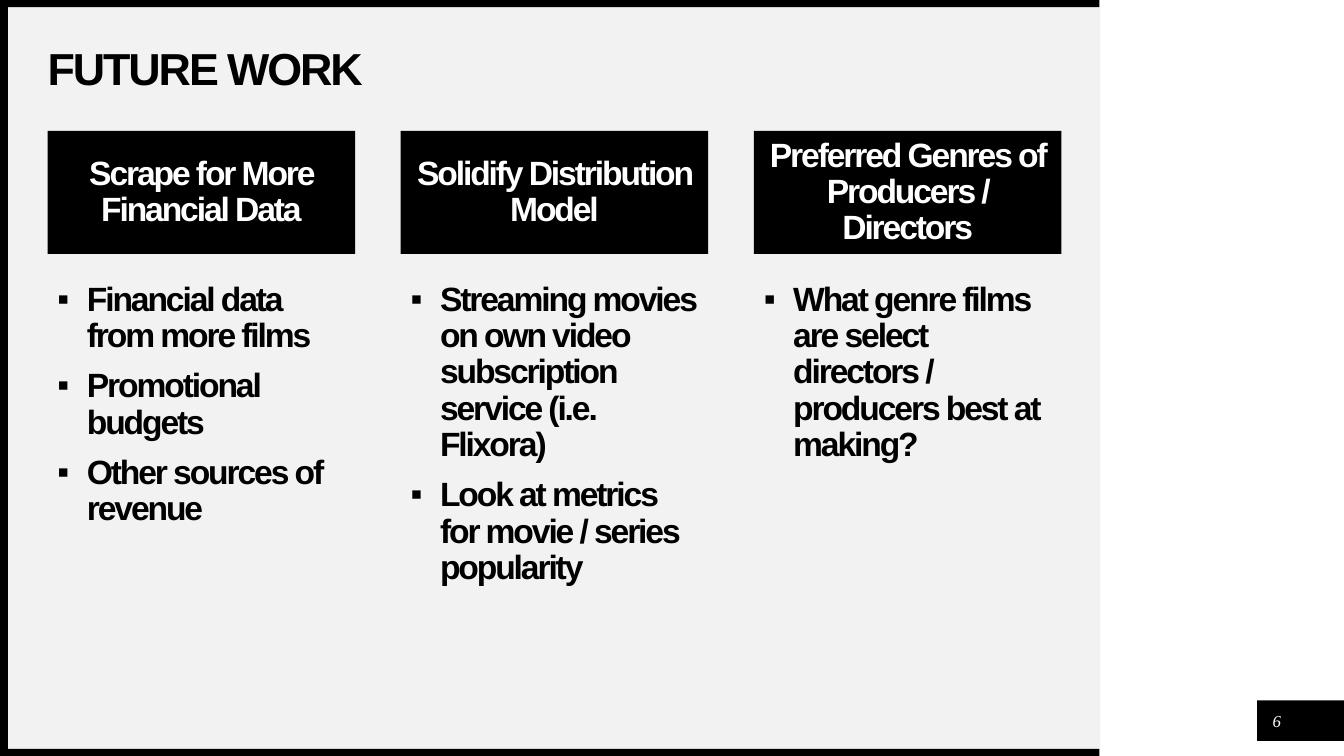
from dataclasses import dataclass

from lxml.etree import Element
from pptx import Presentation
from pptx.dml.color import RGBColor
from pptx.enum.shapes import MSO_SHAPE
from pptx.enum.text import MSO_ANCHOR, PP_ALIGN
from pptx.oxml.ns import qn
from pptx.util import Cm, Pt


@dataclass(frozen=True)
class Theme:
    black: RGBColor = RGBColor(0x00, 0x00, 0x00)
    white: RGBColor = RGBColor(0xFF, 0xFF, 0xFF)
    panel: RGBColor = RGBColor(0xF2, 0xF2, 0xF2)
    heading_font: str = "Arial"
    number_font: str = "Times New Roman"
    title_size: Pt = Pt(32)
    body_size: Pt = Pt(24)
    number_size: Pt = Pt(12)


theme = Theme()
deck = Presentation()
deck.slide_width, deck.slide_height = Cm(33.87), Cm(19.05)
page = deck.slides.add_slide(deck.slide_layouts[6])


def add_block(left, top, width, height, color=None):
    place = Cm(left), Cm(top), Cm(width), Cm(height)
    if color is None:
        box = page.shapes.add_textbox(*place)
    else:
        box = page.shapes.add_shape(MSO_SHAPE.RECTANGLE, *place)
        box.shadow.inherit = False
        box.fill.solid()
        box.fill.fore_color.rgb = color
        box.line.fill.background()
    box.text_frame.word_wrap = True
    return box


def style_heading(para, size, color, align=PP_ALIGN.LEFT):
    para.alignment = align
    para.line_spacing = 0.9
    para.font.name = theme.heading_font
    para.font.size = size
    para.font.color.rgb = color
    para.font.bold = True
    properties = para._p.get_or_add_pPr().find(qn("a:defRPr"))
    properties.set("spc", "-150")
    return properties


for left, top, width, height, color in [
    (0.2, 0.18, 27.53, 18.69, theme.panel),
    (31.68, 17.65, 2.19, 1.02, theme.black),
    (0, 18.87, 27.71, 0.18, theme.black),
    (0, 0, 27.71, 0.18, theme.black),
    (0, 0, 0.2, 19.05, theme.black),
]:
    add_block(left, top, width, height, color)

title = add_block(1.2, 1.19, 25.55, 1.19).text_frame
number = add_block(31.8, 17.78, 0.76, 0.76).text_frame
for frame, text in [(title, "FUTURE WORK"), (number, "6")]:
    frame.margin_left = frame.margin_right = frame.margin_top = frame.margin_bottom = 0
    frame.vertical_anchor = MSO_ANCHOR.MIDDLE
    frame.paragraphs[0].text = text
style_heading(title.paragraphs[0], theme.title_size, theme.black)

para = number.paragraphs[0]
para.alignment = PP_ALIGN.CENTER
para.font.name = theme.number_font
para.font.size = theme.number_size
para.font.color.rgb = theme.white
para.font.italic = True

columns = [
    ("Scrape for More Financial Data",
     ["Financial data from more films", "Promotional budgets", "Other sources of revenue"]),
    ("Solidify Distribution Model",
     ["Streaming movies on own video subscription service (i.e. Flixora)",
      "Look at metrics for movie / series popularity"]),
    ("Preferred Genres of Producers / Directors",
     ["What genre films are select directors / producers best at making?"]),
]
column_left, column_step, column_width = 1.2, 8.9, 7.75

for index, (heading, points) in enumerate(columns):
    left = column_left + index * column_step
    header = add_block(left, 3.3, column_width, 3.1, theme.black).text_frame
    header.vertical_anchor = MSO_ANCHOR.MIDDLE
    para = header.paragraphs[0]
    para.text = heading
    para.space_before = Pt(10)
    style_heading(para, theme.body_size, theme.white, PP_ALIGN.CENTER)

    body = add_block(left, 6.99, column_width, 10.85).text_frame
    body.text = "\n".join(points)
    for para in body.paragraphs:
        para.space_before = Pt(10)
        properties = style_heading(para, theme.body_size, theme.black)
        indent = para._p.get_or_add_pPr()
        indent.set("marL", str(Cm(0.74)))
        indent.set("indent", str(-Cm(0.74)))
        for tag, attribute, value in [
            ("a:buFont", "typeface", theme.heading_font),
            ("a:buChar", "char", "▪"),
        ]:
            bullet = Element(qn(tag))
            bullet.set(attribute, value)
            properties.addprevious(bullet)

deck.save("out.pptx")
